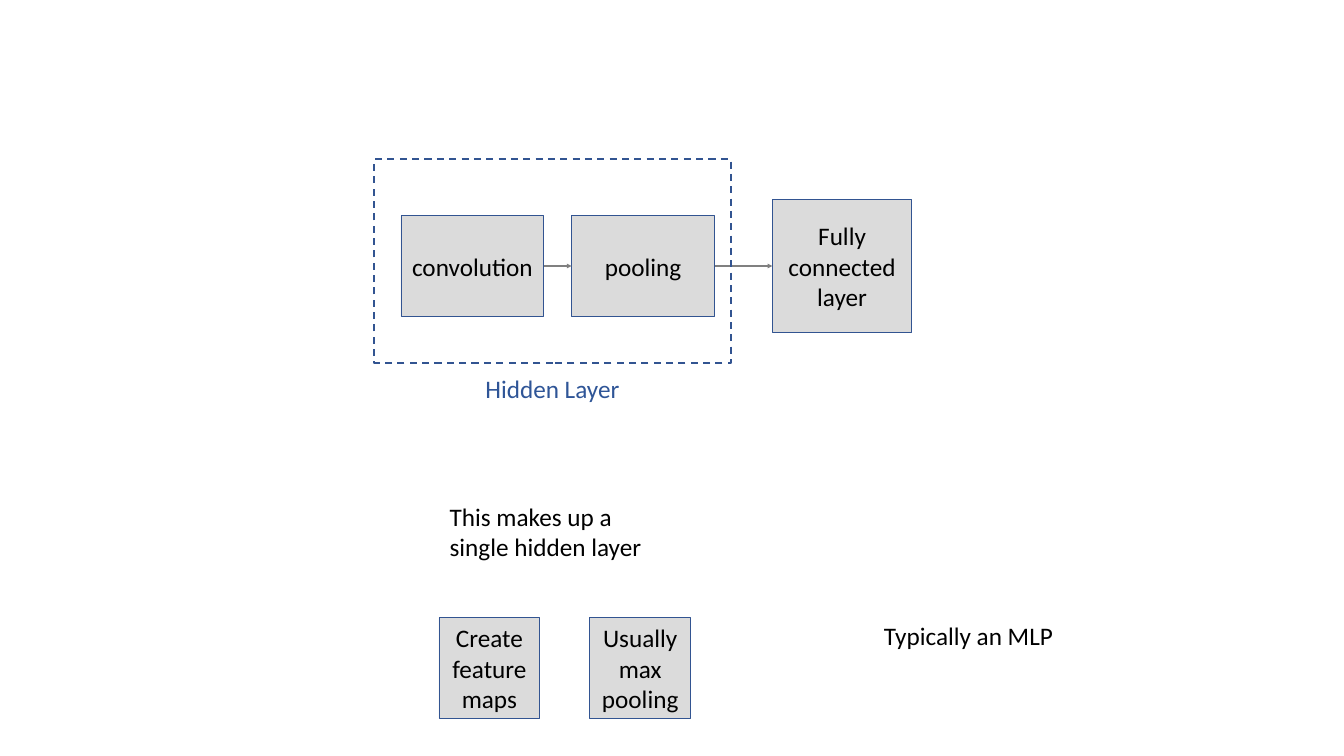
import pptx
import pptx.dml.color
import pptx.enum.dml
import pptx.enum.shapes
import pptx.enum.text
import pptx.oxml.ns
import pptx.util
from lxml import etree

PX = pptx.util.Inches(1) // 100
FONT, SIZE = "Calibri", 32
BLACK, GREY, FILL, OUTLINE, LABEL = "000000", "808080", "DBDBDB", "325491", "2F5597"


def color(value):
    return pptx.dml.color.RGBColor.from_string(value)


def emu(*lengths):
    return [length * PX for length in lengths]


def write(shape, text, ink, align):
    paragraph = shape.text_frame.paragraphs[0]
    paragraph.text = text
    paragraph.alignment = align
    paragraph.font.name = FONT
    paragraph.font.size = pptx.util.Pt(SIZE)
    paragraph.font.color.rgb = color(ink)


def add_rectangle(page, box, line_width):
    shape = page.shapes.add_shape(pptx.enum.shapes.MSO_SHAPE.RECTANGLE, *emu(*box))
    shape.shadow.inherit = False
    shape.line.color.rgb = color(OUTLINE)
    shape.line.width = pptx.util.Pt(line_width)
    return shape


def add_block(page, box, text):
    """Add a filled box with centred text."""
    shape = add_rectangle(page, box, 1)
    shape.fill.solid()
    shape.fill.fore_color.rgb = color(FILL)
    shape.text_frame.word_wrap = True
    shape.text_frame.vertical_anchor = pptx.enum.text.MSO_ANCHOR.MIDDLE
    write(shape, text, BLACK, pptx.enum.text.PP_ALIGN.CENTER)
    return shape


def add_note(page, box, text, ink=BLACK, wrap=True):
    shape = page.shapes.add_textbox(*emu(*box))
    shape.text_frame.word_wrap = wrap
    shape.text_frame.auto_size = pptx.enum.text.MSO_AUTO_SIZE.SHAPE_TO_FIT_TEXT
    write(shape, text, ink, pptx.enum.text.PP_ALIGN.LEFT)


def add_arrow(page, source, target):
    """Join the right side of one block to the left side of another."""
    arrow = page.shapes.add_connector(
        pptx.enum.shapes.MSO_CONNECTOR.STRAIGHT, 0, 0, 0, 0)
    arrow.begin_connect(source, 3)
    arrow.end_connect(target, 1)
    arrow.line.color.rgb = color(GREY)
    arrow.line.width = pptx.util.Pt(1.5)
    tail = etree.SubElement(arrow.line._get_or_add_ln(), pptx.oxml.ns.qn("a:tailEnd"))
    tail.set("type", "triangle")
    etree.SubElement(arrow._element.spPr, pptx.oxml.ns.qn("a:effectLst"))


def draw_network(page, box):
    """Draw the hidden layer with its two steps, and the layer after it."""
    left, top, width, height = box
    convolution, pooling = [
        add_block(page, (left + 47 + column * 301, top + 99, 252, 178), text)
        for column, text in enumerate(("convolution", "pooling"))
    ]
    connected = add_block(page, (left + 702, top + 70, 246, 236), "Fully connected layer")
    add_arrow(page, convolution, pooling)
    add_arrow(page, pooling, connected)

    frame = add_rectangle(page, box, 2.25)
    frame.fill.background()
    frame.line.dash_style = pptx.enum.dml.MSO_LINE.DASH
    add_note(page, (left + 186, top + height + 14, 259, 64), "Hidden Layer", LABEL, False)


def draw_explanations(page, box):
    left, top, width, height = box
    add_note(page, (left + 9, top, 386, 118), "This makes up a single hidden layer")
    row = top + 210
    for column, text in enumerate(("Create feature maps", "Usually max pooling")):
        add_block(page, (left + column * 266, row, 178, 178), text)
    add_note(page, (left + width - 386, row, 386, 64), "Typically an MLP")


def main():
    deck = pptx.Presentation()
    deck.slide_width, deck.slide_height = emu(2370, 1333)
    page = deck.slides.add_slide(deck.slide_layouts[6])
    draw_network(page, (660, 281, 629, 359))
    draw_explanations(page, (774, 879, 1161, 388))
    deck.save("out.pptx")


if __name__ == "__main__":
    main()
